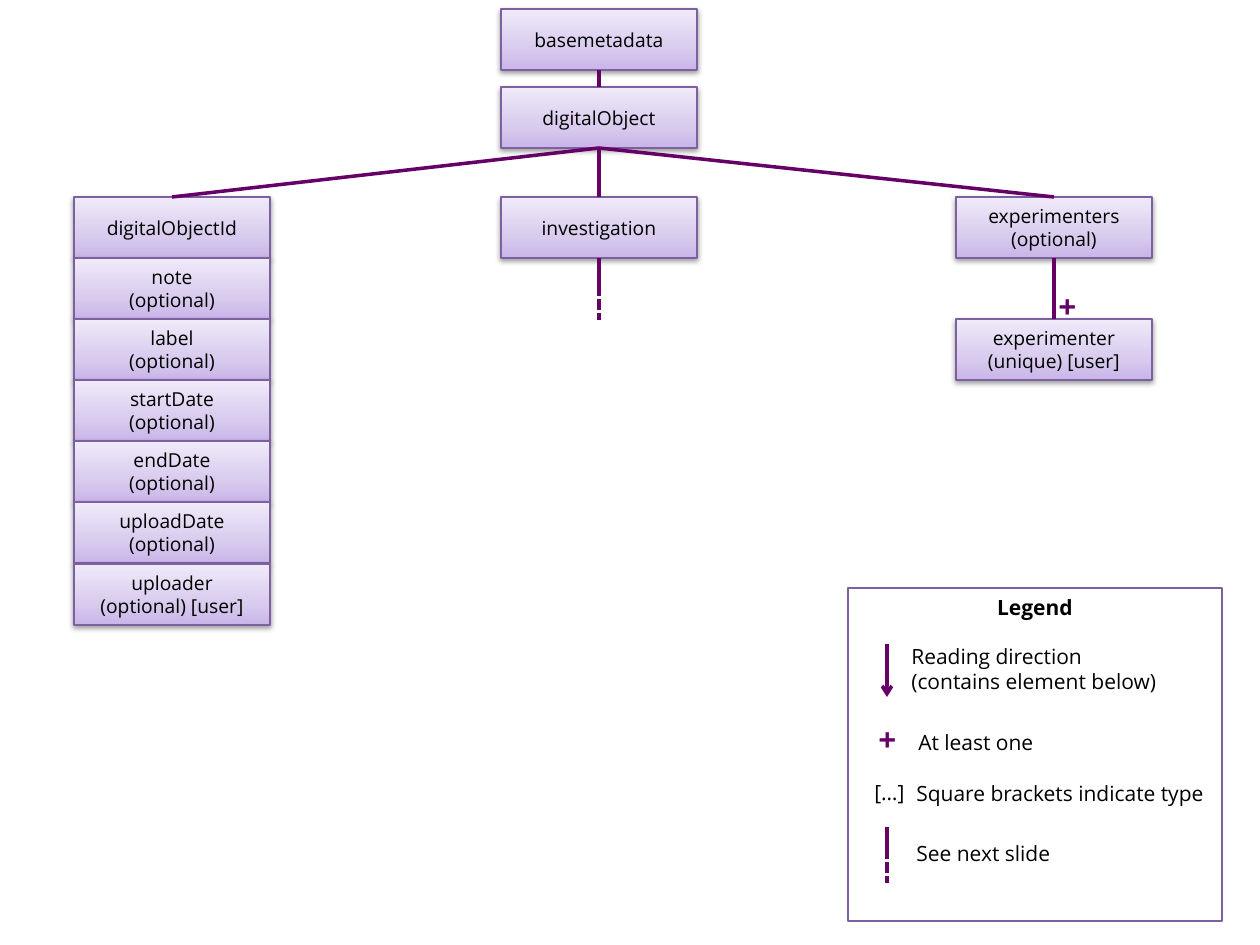
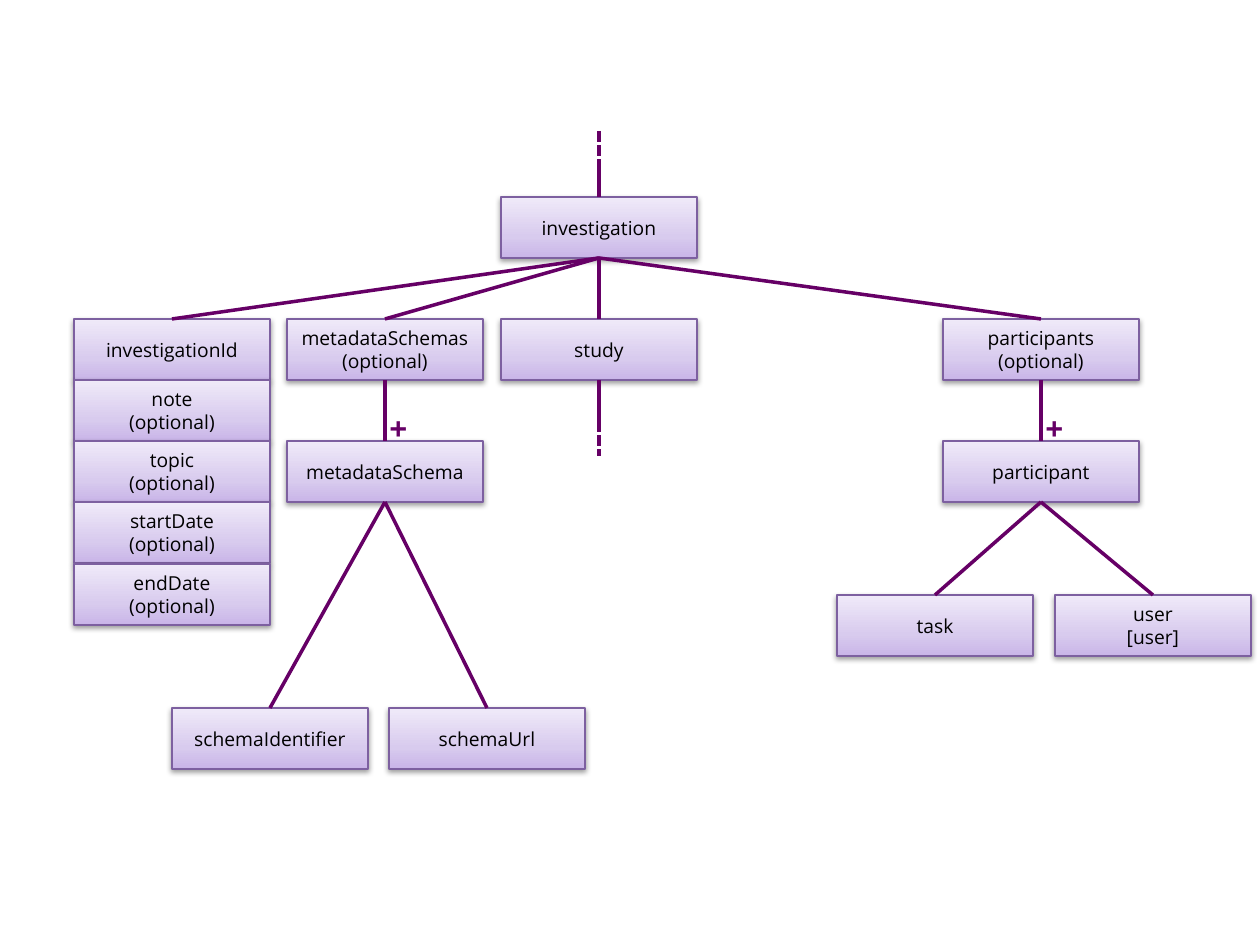
from copy import deepcopy
from lxml.etree import SubElement
from pptx import Presentation
from pptx.dml.color import RGBColor
from pptx.enum.dml import MSO_LINE
from pptx.enum.shapes import MSO_CONNECTOR, MSO_SHAPE
from pptx.enum.text import MSO_ANCHOR as ANCHOR, MSO_AUTO_SIZE as AUTO, PP_ALIGN as ALIGN
from pptx.oxml.ns import qn
from pptx.util import Inches, Pt

# Shared look
PX = 7257  # EMU in one px, 126 px to the inch
FONT = "Open Sans"
BLACK, WHITE, PLUM, BORDER = "000000", "FFFFFF", "660066", "7D60A0"
GRADIENT = [(0, "C9B5E8"), (0.35, "D8CBEE"), (1, "F0EAF9")]
SHADOW = {"blurRad": "40000", "dist": "20000", "dir": "5400000", "rotWithShape": "0"}
rgb = RGBColor.from_string

# Shared grid
BOX_W, BOX_H = 196, 61
ROWS = [197 + 367 * i // 6 for i in range(7)]
LEFT, MIDDLE = 74, 501
TOP, BOTTOM = 0, 2  # connection sites


def write(sp, text, size, color=BLACK, bold=False, align=ALIGN.LEFT):
    tf = sp.text_frame
    tf.text = text
    for p in tf.paragraphs:
        p.alignment = align
        font = {"name": FONT, "size": Pt(size), "bold": bold}
        for key, value in font.items():
            setattr(p.runs[0].font, key, value)
        p.runs[0].font.color.rgb = rgb(color)


def draw_line(s, x, y1, y2, dashed=False):
    c = s.shapes.add_connector(MSO_CONNECTOR.STRAIGHT, x * PX, y1 * PX, x * PX, y2 * PX)
    c.line.color.rgb = rgb(PLUM)
    c.line.width = Pt(2)
    if dashed:
        c.line.dash_style = MSO_LINE.SQUARE_DOT
    SubElement(c._element.spPr, qn("a:effectLst"))
    return c


# Boxes: left, top, text. Links: parent, child, repeated child.
# Stubs: box, side, where the dashes begin, where they end.
# Labels: left, top, width, height, text, size, colour, bold.
object_fields = ["digitalObjectId", "note\n(optional)", "label\n(optional)",
                 "startDate\n(optional)", "endDate\n(optional)",
                 "uploadDate\n(optional)", "uploader\n(optional) [user]"]
investigation_fields = ["investigationId", "note\n(optional)", "topic\n(optional)",
                        "startDate\n(optional)", "endDate\n(optional)"]

object_slide = {
    "boxes": [(MIDDLE, 9, "basemetadata"), (MIDDLE, 87, "digitalObject"),
              (MIDDLE, ROWS[0], "investigation"),
              *[(LEFT, y, text) for y, text in zip(ROWS, object_fields)],
              (956, ROWS[0], "experimenters\n(optional)"),
              (956, ROWS[2], "experimenter\n(unique) [user]")],
    "links": [("basemetadata", "digitalObject", False),
              ("digitalObject", "digitalObjectId", False),
              ("digitalObject", "investigation", False),
              ("digitalObject", "experimenters", False),
              ("experimenters", "experimenter", True)],
    "stubs": [("investigation", BOTTOM, 285, 320)],
}
investigation_slide = {
    "boxes": [(MIDDLE, ROWS[0], "investigation"), (MIDDLE, ROWS[2], "study"),
              *[(LEFT, y, text) for y, text in zip(ROWS[2:], investigation_fields)],
              (287, ROWS[2], "metadataSchemas\n(optional)"),
              (287, ROWS[4], "metadataSchema"),
              (172, 708, "schemaIdentifier"), (389, 708, "schemaUrl"),
              (943, ROWS[2], "participants\n(optional)"),
              (943, ROWS[4], "participant"),
              (837, 595, "task"), (1055, 595, "user\n[user]")],
    "links": [("investigation", "investigationId", False),
              ("investigation", "metadataSchemas", False),
              ("investigation", "study", False),
              ("investigation", "participants", False),
              ("metadataSchemas", "metadataSchema", True),
              ("metadataSchema", "schemaIdentifier", False),
              ("metadataSchema", "schemaUrl", False),
              ("participants", "participant", True),
              ("participant", "task", False),
              ("participant", "user", False)],
    "stubs": [("investigation", TOP, 166, 131), ("study", BOTTOM, 421, 456)],
}

prs = Presentation()
prs.slide_width, prs.slide_height = Inches(10), Inches(7.5)

for content in (object_slide, investigation_slide):
    s = prs.slides.add_slide(prs.slide_layouts[6])
    labels = []

    # Element boxes, kept by the first line of their text
    boxes, places = {}, {}
    for x, y, text in content["boxes"]:
        sp = s.shapes.add_shape(MSO_SHAPE.RECTANGLE, x * PX, y * PX, BOX_W * PX, BOX_H * PX)
        sp.fill.gradient()
        sp.fill.gradient_angle = 90
        stops = next(sp._element.spPr.iter(qn("a:gsLst")))
        stops.insert(1, deepcopy(stops[0]))
        for stop, (position, color) in zip(sp.fill.gradient_stops, GRADIENT):
            stop.position = position
            stop.color.rgb = rgb(color)
        sp.line.color.rgb = rgb(BORDER)
        sp.line.width = Pt(0.75)
        sp.shadow.inherit = False
        effects = sp._element.spPr.find(qn("a:effectLst"))
        shadow = SubElement(effects, qn("a:outerShdw"), SHADOW)
        shade = SubElement(shadow, qn("a:srgbClr"), val=BLACK)
        SubElement(shade, qn("a:alpha"), val="38000")
        sp.text_frame.word_wrap = True
        sp.text_frame.vertical_anchor = ANCHOR.MIDDLE
        write(sp, text, 11, align=ALIGN.CENTER)
        name = text.split("\n")[0]
        boxes[name], places[name] = sp, (x + BOX_W // 2, y)

    # Links from parent to child, with a plus where the child repeats
    for parent, child, repeated in content["links"]:
        x, y = places[child]
        c = draw_line(s, x, y, y)
        c.begin_connect(boxes[parent], BOTTOM)
        c.end_connect(boxes[child], TOP)
        if repeated:
            labels.append((x - 8, y - 38, 44, 50, "+", 18, PLUM, True))

    # Stubs that carry on to another slide
    for name, side, joint, end in content["stubs"]:
        x, y = places[name]
        draw_line(s, x, y, joint).begin_connect(boxes[name], side)
        draw_line(s, x, min(joint, end), max(joint, end), dashed=True)

    # Legend
    if content is object_slide:
        sp = s.shapes.add_shape(MSO_SHAPE.RECTANGLE, 848 * PX, 588 * PX, 374 * PX, 333 * PX)
        sp.fill.solid()
        sp.fill.fore_color.rgb = rgb(WHITE)
        sp.line.color.rgb = rgb(BORDER)
        sp.line.width = Pt(0.75)
        sp.shadow.inherit = False
        sp.text_frame.vertical_anchor = ANCHOR.TOP
        write(sp, "Legend", 12, bold=True, align=ALIGN.CENTER)
        arrow = draw_line(s, 887, 644, 697)
        SubElement(arrow.line._get_or_add_ln(), qn("a:tailEnd"), type="arrow")
        draw_line(s, 887, 827, 849)
        draw_line(s, 887, 848, 883, dashed=True)
        labels += [
            (899, 637, 275, 63, "Reading direction\n(contains element below)", 12, BLACK, False),
            (866, 714, 44, 50, "+", 18, PLUM, True),
            (906, 723, 142, 38, "At least one", 12, BLACK, False),
            (904, 774, 318, 38, "Square brackets indicate type", 12, BLACK, False),
            (862, 773, 64, 38, "[…]", 12, BLACK, False),
            (904, 834, 161, 38, "See next slide", 12, BLACK, False),
        ]

    # Plus signs and legend texts
    for x, y, w, h, text, size, color, bold in labels:
        sp = s.shapes.add_textbox(x * PX, y * PX, w * PX, h * PX)
        sp.text_frame.word_wrap = False
        sp.text_frame.auto_size = AUTO.SHAPE_TO_FIT_TEXT
        write(sp, text, size, color, bold)

prs.save("out.pptx")
